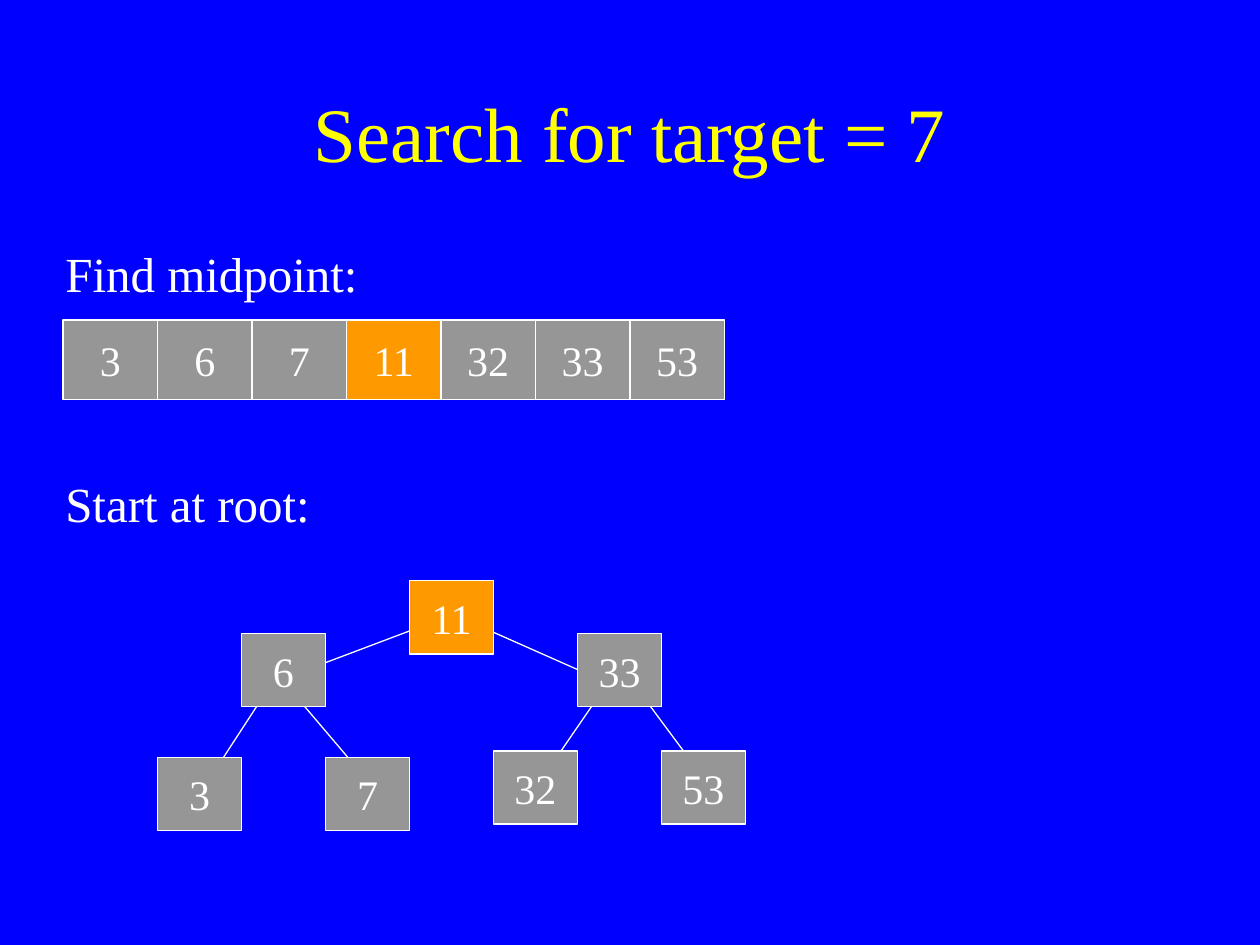
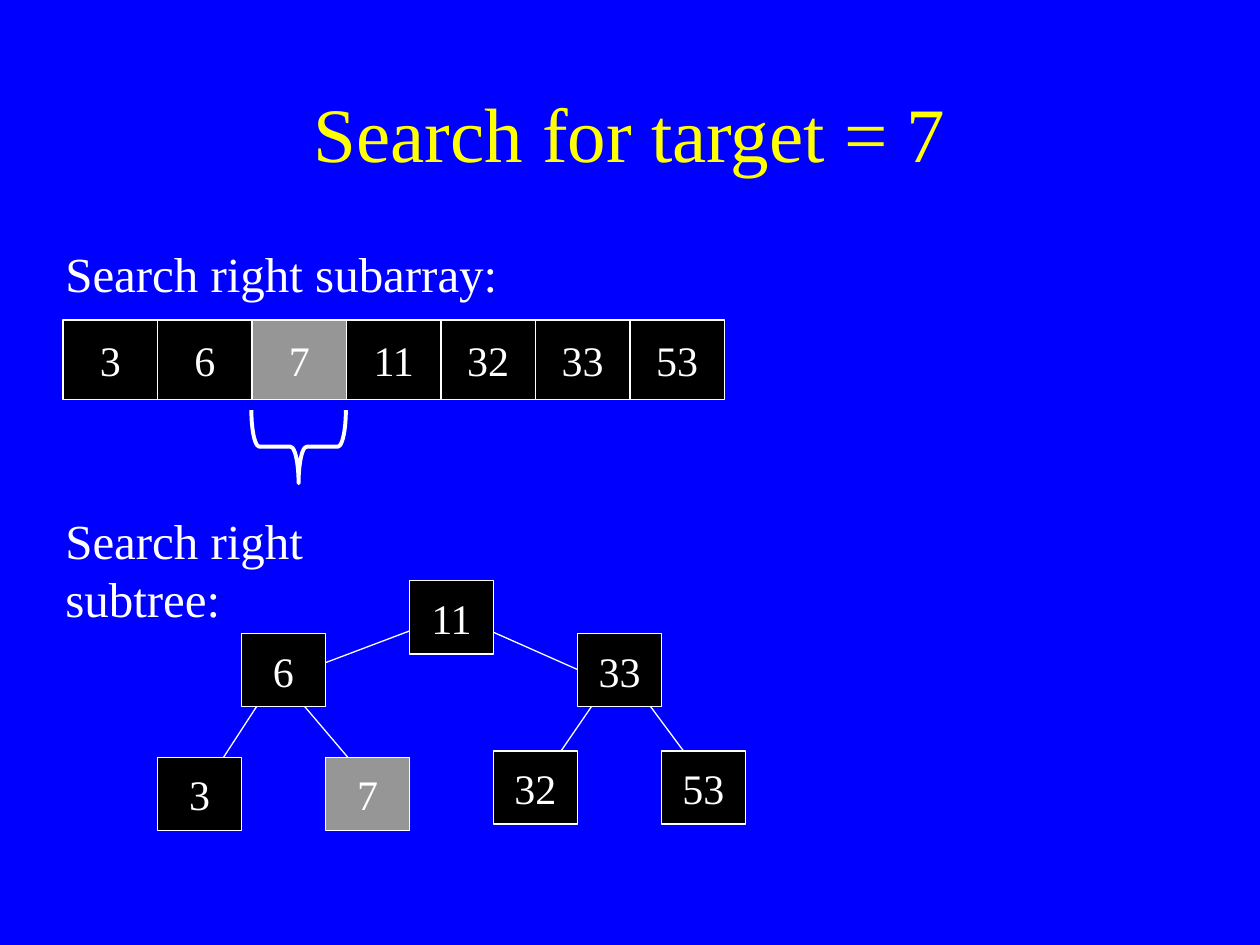
from pptx import Presentation
from pptx.dml.color import RGBColor
from pptx.enum.shapes import MSO_CONNECTOR, MSO_SHAPE
from pptx.enum.text import MSO_ANCHOR, PP_ALIGN
from pptx.oxml.ns import qn
from pptx.util import Inches, Pt
from lxml.etree import SubElement

BLUE, YELLOW, WHITE = "0000FF", "FFFF00", "FFFFFF"
GRAY, ORANGE, BLACK = "969696", "FF9900", "000000"
FONT = "Times New Roman"
rgb = RGBColor.from_string

KEYS = [3, 6, 7, 11, 32, 33, 53]
CELL = 0.75
# Tree boxes stand in key order from left to right, one column each
NODE = 2 / 3
TOPS = [6.01, 5.03, 6.01, 4.61, 5.96, 5.03, 5.96]
EDGES = [
    (3.43, 4.94, 2.37, 5.34),
    (3.74, 4.94, 4.8, 5.41),
    (2.12, 5.48, 1.69, 6.14),
    (2.31, 5.48, 2.93, 6.21),
    (4.92, 5.28, 4.24, 6.27),
    (4.92, 5.28, 5.61, 6.21),
]
# Array caption; tree caption, its top and width; usual fill; marked key and fill
STEPS = [
    ("Find midpoint:", "Start at root:", 3.71, 2.14, GRAY, 11, ORANGE),
    ("Search right subarray:", "Search right subtree:", 4, 3.41, BLACK, 7, GRAY),
]


def write(shape, text, size, color=WHITE, center=True, wrap=True):
    frame = shape.text_frame
    frame.text = text
    frame.word_wrap = wrap
    frame.vertical_anchor = MSO_ANCHOR.MIDDLE if center else MSO_ANCHOR.TOP
    para = frame.paragraphs[0]
    para.alignment = PP_ALIGN.CENTER if center else PP_ALIGN.LEFT
    font = para.runs[0].font
    font.name, font.size, font.color.rgb = FONT, Pt(size), rgb(color)


def draw_box(slide, key, left, top, width, height, fill):
    box = slide.shapes.add_shape(
        MSO_SHAPE.RECTANGLE, Inches(left), Inches(top), Inches(width), Inches(height))
    box.shadow.inherit = False
    box.fill.solid()
    box.fill.fore_color.rgb = rgb(fill)
    box.line.color.rgb = rgb(WHITE)
    box.line.width = Pt(0.75)
    write(box, str(key), 24, wrap=False)


prs = Presentation()
prs.slide_width, prs.slide_height = Inches(10), Inches(7.5)
back = prs.slide_master.background.fill
back.solid()
back.fore_color.rgb = rgb(BLUE)

for array_text, tree_text, tree_top, tree_width, plain, target, mark in STEPS:
    slide = prs.slides.add_slide(prs.slide_layouts[6])
    shapes = slide.shapes

    title = shapes.add_textbox(Inches(0.75), Inches(0.42), Inches(8.5), Inches(1.25))
    write(title, "Search for target = 7", 44, YELLOW)
    for text, top, width, wrap in [
        (tree_text, tree_top, tree_width, False),
        (array_text, 1.88, 6.92, True),
    ]:
        label = shapes.add_textbox(Inches(0.42), Inches(top), Inches(width), Inches(3.37))
        write(label, text, 28, center=False, wrap=wrap)

    fills = [mark if key == target else plain for key in KEYS]
    for i, key in enumerate(KEYS):
        draw_box(slide, key, 0.5 + i * CELL, 2.54, CELL, 0.63, fills[i])

    # Edges come before the nodes, which cover their ends
    for edge in EDGES:
        line = shapes.add_connector(MSO_CONNECTOR.STRAIGHT, *map(Inches, edge))
        line.line.color.rgb = rgb(WHITE)
        line.line.width = Pt(0.75)
        SubElement(line._element.spPr, qn("a:effectLst"))

    for i, key in enumerate(KEYS):
        draw_box(slide, key, 1.25 + i * NODE, TOPS[i], NODE, 0.58, fills[i])

# The brace marks the subarray that is left on the last slide
brace = shapes.add_shape(
    MSO_SHAPE.LEFT_BRACE, Inches(2.08), Inches(3.17), Inches(0.58), Inches(CELL))
brace.rotation = 270
brace.adjustments[0] = 0.11
brace.shadow.inherit = False
brace.fill.background()
brace.line.color.rgb = rgb(WHITE)
brace.line.width = Pt(2.25)

prs.save("out.pptx")
